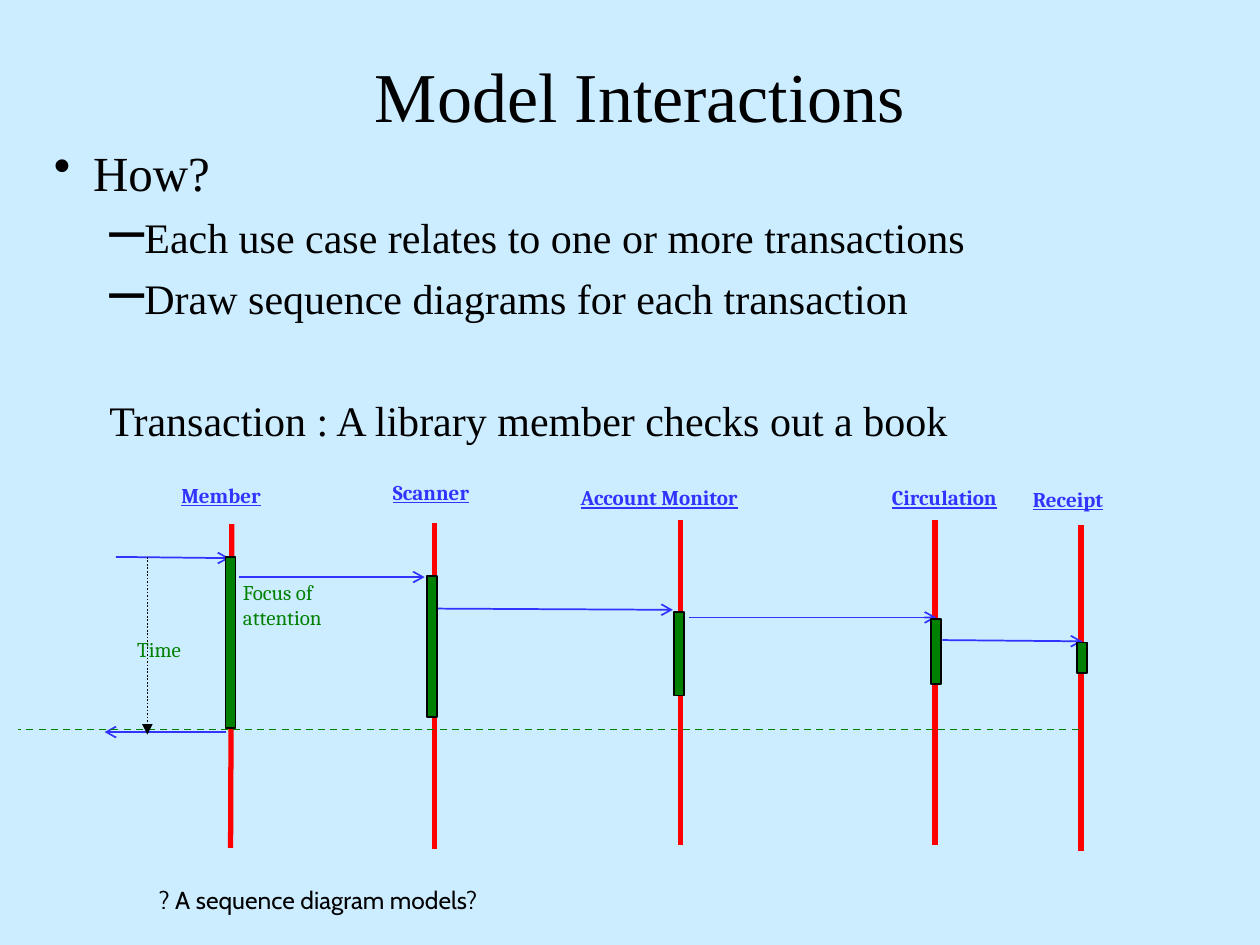
from lxml.etree import SubElement
from pptx import Presentation
from pptx.dml.color import RGBColor
from pptx.enum.dml import MSO_LINE_DASH_STYLE as Dash
from pptx.enum.shapes import MSO_CONNECTOR as Connector, MSO_SHAPE as Shape
from pptx.enum.text import MSO_ANCHOR as Anchor, PP_ALIGN as Align
from pptx.oxml.ns import qn
from pptx.util import Inches, Pt

COLORS = {"sky": "CCECFF", "red": "FF0000", "blue": "3333FF", "green": "008000", "black": "000000"}

TITLE = "Model Interactions"
BULLETS = [
    {"text": "How?", "size": 28, "before": 7, "margin": 0.31, "indent": -0.31, "bullet": "•", "scale": 100},
    {"text": "Each use case relates to one or more transactions", "bullet": "–"},
    {"text": "Draw sequence diagrams for each transaction", "bullet": "–"},
    {"text": "Transaction : A library member checks out a book", "before": 41},
]
BULLET_DEFAULTS = {"size": 24, "before": 6, "margin": 0.69, "indent": -0.25, "bullet": None, "scale": 150}

PARTICIPANTS = [
    {"name": "Member", "label": (1.34, 3.78, 0.91), "line": (1.84, 4.16, 1.83, 6.73), "bar": (1.79, 4.42, 1.36)},
    {"name": "Scanner", "label": (3.02, 3.76, 0.89), "line": (3.45, 4.15, 3.45, 6.74), "bar": (3.39, 4.57, 1.12)},
    {"name": "Account Monitor", "label": (4.51, 3.8, 1.62), "line": (5.4, 4.13, 5.4, 6.71), "bar": (5.35, 4.86, 0.66)},
    {"name": "Circulation", "label": (6.98, 3.8, 1.15), "line": (7.42, 4.13, 7.42, 6.71), "bar": (7.39, 4.91, 0.52)},
    {"name": "Receipt", "label": (8.1, 3.81, 0.83), "line": (8.58, 4.17, 8.58, 6.75), "bar": (8.55, 5.1, 0.24)},
]
MESSAGES = [
    (0.92, 4.42, 1.82, 4.43),
    (1.9, 4.58, 3.37, 4.58),
    (3.44, 4.83, 5.34, 4.84),
    (5.47, 4.9, 7.43, 4.9),
    (7.48, 5.08, 8.59, 5.09),
    (1.79, 5.81, 0.83, 5.81),
]
NOTES = [
    ("Time", (0.99, 5, 0.6, 0.3)),
    ("Focus of\vattention", (1.83, 4.55, 0.92, 0.5)),
]
QUESTION = "? A sequence diagram models?"
BAR_WIDTH = 0.08
LABEL_HEIGHT = 0.3


def rgb(name):
    return RGBColor.from_string(COLORS[name])


def apply(target, values):
    for name, value in values.items():
        setattr(target, name, value)


def write(para, text, font, size, color, **style):
    para.text = text
    for span in para.runs:
        apply(span.font, {"name": font, "size": Pt(size), **style})
        span.font.color.rgb = rgb(color)


def add_text(page, text, place, font, size, color, **style):
    box = page.shapes.add_textbox(*map(Inches, place))
    box.text_frame.word_wrap = False
    para = box.text_frame.paragraphs[0]
    write(para, text, font, size, color, **style)
    return box, para


def add_line(page, ends, color, width=1, dash=None, arrow=None):
    line = page.shapes.add_connector(Connector.STRAIGHT, *map(Inches, ends))
    apply(line.line, {"width": Pt(width), "dash_style": dash})
    line.line.color.rgb = rgb(color)
    if arrow:
        SubElement(line.line._get_or_add_ln(), qn("a:tailEnd"), type=arrow)
    SubElement(line._element.spPr, qn("a:effectLst"))


def add_bar(page, left, top, height):
    bar = page.shapes.add_shape(Shape.RECTANGLE, *map(Inches, (left, top, BAR_WIDTH, height)))
    bar.shadow.inherit = False
    bar.fill.solid()
    bar.fill.fore_color.rgb = rgb("green")
    bar.line.color.rgb = rgb("black")
    bar.line.width = Pt(1)


def add_bullets(page):
    box = page.shapes.add_textbox(*map(Inches, (0.33, 1.08, 9.25, 2.6)))
    frame = box.text_frame
    frame.word_wrap = True
    for index, item in enumerate(BULLETS):
        item = {**BULLET_DEFAULTS, **item}
        para = frame.add_paragraph() if index else frame.paragraphs[0]
        write(para, item["text"], "Times New Roman", item["size"], "black")
        para.space_before = Pt(item["before"])
        props = para._p.get_or_add_pPr()
        props.set("marL", str(Inches(item["margin"])))
        props.set("indent", str(Inches(item["indent"])))
        if item["bullet"]:
            SubElement(props, qn("a:buSzPct"), val=str(item["scale"] * 1000))
            SubElement(props, qn("a:buChar"), char=item["bullet"])


def main():
    deck = Presentation()
    apply(deck, {"slide_width": Inches(10), "slide_height": Inches(7.5)})
    page = deck.slides.add_slide(deck.slide_layouts[5])
    page.background.fill.solid()
    page.background.fill.fore_color.rgb = rgb("sky")

    title = page.shapes.title
    apply(title, {"left": Inches(0.83), "top": Inches(0.25), "width": Inches(8.5), "height": Inches(1)})
    title.text_frame.vertical_anchor = Anchor.MIDDLE
    heading = title.text_frame.paragraphs[0]
    write(heading, TITLE, "Times New Roman", 40, "black")
    heading.alignment = Align.CENTER
    add_bullets(page)

    for person in PARTICIPANTS:
        add_line(page, person["line"], "red", width=3)
        add_text(page, person["name"], (*person["label"], LABEL_HEIGHT), "Cambria", 12, "blue",
                 bold=True, underline=True)
    for ends in MESSAGES:
        add_line(page, ends, "blue", arrow="arrow")
    for text, place in NOTES:
        add_text(page, text, place, "Cambria", 12, "green")
    add_line(page, (8.56, 5.79, 0.14, 5.79), "green", dash=Dash.DASH)
    add_line(page, (1.17, 4.42, 1.17, 5.83), "black", dash=Dash.ROUND_DOT, arrow="triangle")
    for person in PARTICIPANTS:
        add_bar(page, *person["bar"])

    box, para = add_text(page, QUESTION, (0.99, 7, 3.07, 0.31), "Cabin", 14, "black")
    box.text_frame.vertical_anchor = Anchor.MIDDLE
    apply(para, {"alignment": Align.CENTER, "line_spacing": 0.9, "space_before": Pt(5.2)})
    deck.save("out.pptx")


if __name__ == "__main__":
    main()
